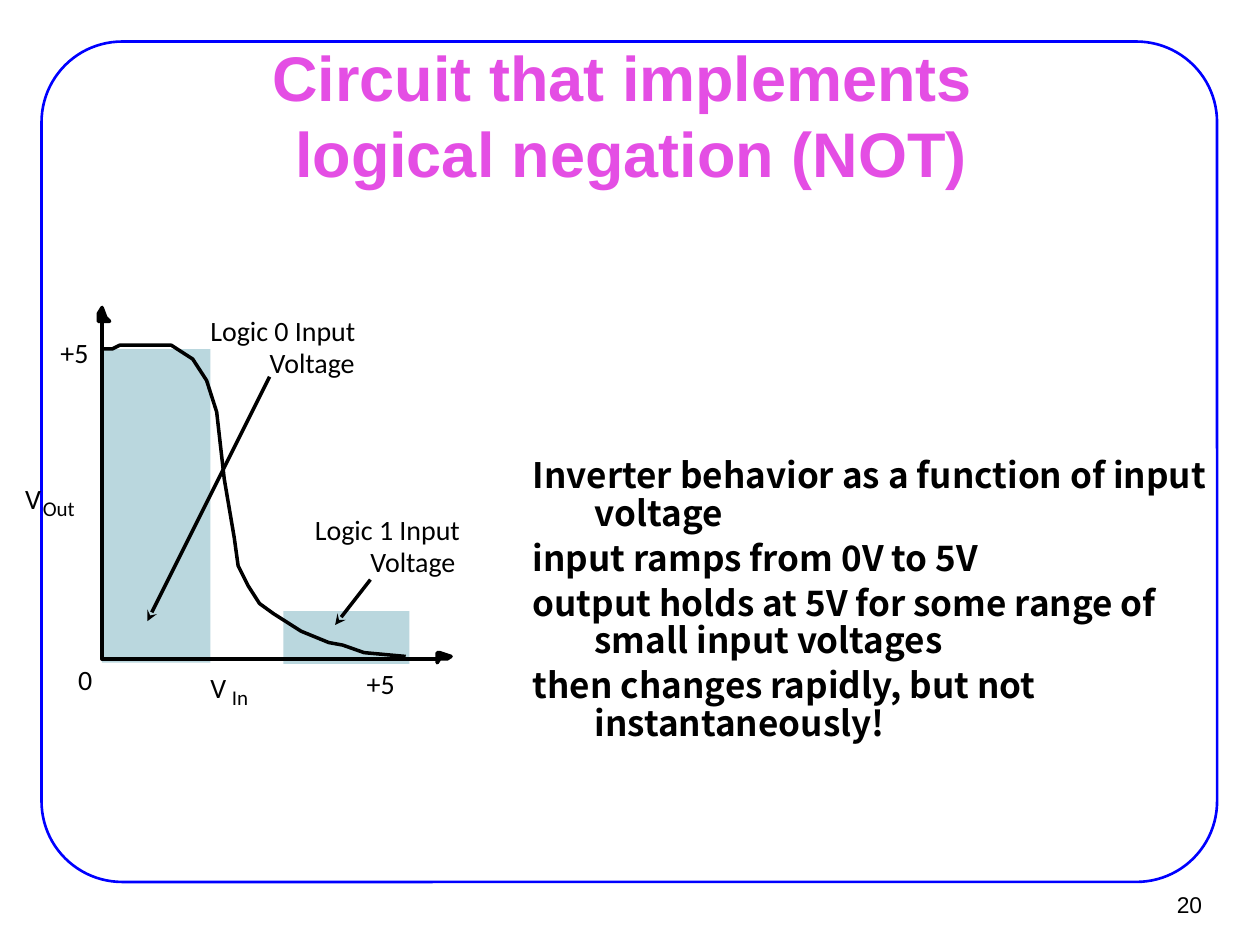
import pptx
import pptx.util
import pptx.dml.color
import pptx.enum.shapes
import pptx.enum.text
import pptx.oxml
import pptx.oxml.ns

Inches = pptx.util.Inches
Pt = pptx.util.Pt
RGB = pptx.dml.color.RGBColor
Align = pptx.enum.text.PP_ALIGN
Anchor = pptx.enum.text.MSO_ANCHOR
Kind = pptx.enum.shapes.MSO_SHAPE

BLACK = RGB(0, 0, 0)
BLUE = RGB(0x00, 0x00, 0xFF)
PINK = RGB(0xE4, 0x4E, 0xE4)
TEAL = RGB(0xBA, 0xD7, 0xDE)

CURVE = [(0.61, 0.33), (0.69, 0.33), (0.75, 0.3), (1.16, 0.3), (1.33, 0.41),
         (1.44, 0.58), (1.52, 0.83), (1.58, 1.36), (1.66, 1.83), (1.69, 2.05),
         (1.77, 2.21), (1.86, 2.35), (1.97, 2.43), (2.19, 2.57), (2.41, 2.66),
         (2.52, 2.68), (2.69, 2.74), (3.02, 2.77)]
AXES = [(3.29, 2.79), (0.61, 2.79), (0.61, 0.05)]
TIPS = [
    [(0.61, 0), (0.64, 0.08), (0.67, 0.11), (0.58, 0.11), (0.58, 0.05)],
    [(3.35, 2.79), (3.29, 2.79), (3.27, 2.82), (3.27, 2.74), (3.29, 2.74),
     (3.38, 2.77)],
]
BANDS = [(2.05, 2.41, 1, 0.42), (0.61, 0.33, 0.86, 2.49)]
LABELS = [
    ("V", 0, 1.38, 0.21, 16), ("Out", 0.14, 1.49, 0.32, 12),
    ("+5", 0.28, 0.22, 0.32, 16), ("0", 0.42, 2.82, 0.19, 16),
    ("+5", 2.71, 2.85, 0.32, 16), ("V", 1.47, 2.88, 0.21, 16),
    ("In", 1.64, 2.99, 0.19, 12),
    ("Logic 0 Input", 1.47, 0.05, 1.4, 16), ("Voltage", 1.94, 0.3, 0.81, 16),
    ("Logic 1 Input", 2.3, 1.63, 1.34, 16), ("Voltage", 2.74, 1.88, 0.81, 16),
]
ARROWS = [(1.94, 0.55, 0.97, 2.49), (2.74, 2.16, 2.46, 2.52)]
POINTS = [
    "Inverter behavior as a function of input voltage",
    "input ramps from 0V to 5V",
    "output holds at 5V for some range of small input voltages",
    "then changes rapidly, but not instantaneously!",
]


def add_text(shapes, box, text, font, size, color=BLACK, bold=False,
             inset=(0.1, 0.05), wrap=True, anchor=Anchor.TOP, align=Align.LEFT):
    frame = shapes.add_textbox(*map(Inches, box)).text_frame
    frame.margin_left = frame.margin_right = Inches(inset[0])
    frame.margin_top = frame.margin_bottom = Inches(inset[1])
    frame.word_wrap = wrap
    frame.vertical_anchor = anchor
    frame.text = text
    for para in frame.paragraphs:
        para.alignment = align
        for run in para.runs:
            run.font.name = font
            run.font.size = Pt(size)
            run.font.bold = bold
            run.font.color.rgb = color
    return frame


def add_path(shapes, left, top, points, closed=False):
    spots = [(Inches(left + x), Inches(top + y)) for x, y in points]
    pen = shapes.build_freeform(*spots[0])
    pen.add_line_segments(spots[1:], close=closed)
    shape = pen.convert_to_shape()
    shape.shadow.inherit = False
    if closed:
        shape.fill.solid()
        shape.fill.fore_color.rgb = BLACK
    else:
        shape.fill.background()
    shape.line.color.rgb = BLACK
    shape.line.width = Pt(2)


def add_arrow(shapes, left, top, ends):
    x1, y1, x2, y2 = ends
    line = shapes.add_connector(
        pptx.enum.shapes.MSO_CONNECTOR.STRAIGHT, Inches(left + x1),
        Inches(top + y1), Inches(left + x2), Inches(top + y2))
    line.line.color.rgb = BLACK
    line.line.width = Pt(2)
    tail = pptx.oxml.parse_xml(
        f'<a:tailEnd {pptx.oxml.ns.nsdecls("a")} type="stealth"/>')
    line.line._get_or_add_ln().append(tail)
    line._element.spPr.append(pptx.oxml.parse_xml(
        f'<a:effectLst {pptx.oxml.ns.nsdecls("a")}/>'))


def add_frame(shapes, box):
    frame = shapes.add_shape(Kind.ROUNDED_RECTANGLE, *map(Inches, box))
    frame.adjustments[0] = 0.096
    frame.shadow.inherit = False
    frame.fill.background()
    frame.line.color.rgb = BLUE
    frame.line.width = Pt(1.5)


def add_title(shapes, box):
    add_text(shapes, box, "Circuit that implements \vlogical negation (NOT)",
             "Arial", 36, PINK, True, (0.11, 0.06), anchor=Anchor.MIDDLE,
             align=Align.CENTER)


def add_number(shapes, box):
    add_text(shapes, box, "20", "Arial", 13, inset=(0.09, 0.04), wrap=False,
             anchor=Anchor.MIDDLE, align=Align.RIGHT)


def add_points(shapes, box):
    frame = add_text(shapes, box, "\n".join(POINTS), "Noto Sans CJK KR", 20,
                     bold=True)
    for para in frame.paragraphs:
        para.line_spacing = 0.9
        para.space_before = Pt(4)
        props = para._p.get_or_add_pPr()
        props.set("marL", str(Inches(0.49)))
        props.set("indent", str(Inches(-0.49)))


def add_graph(shapes, box):
    left, top = box
    parts = shapes.add_group_shape().shapes
    for x, y, wide, high in BANDS:
        band = parts.add_shape(Kind.RECTANGLE, Inches(left + x), Inches(top + y),
                               Inches(wide), Inches(high))
        band.shadow.inherit = False
        band.fill.solid()
        band.fill.fore_color.rgb = TEAL
        band.line.fill.background()
    for text, x, y, wide, size in LABELS:
        add_text(parts, (left + x, top + y, wide, size / 60), text, "Calibri",
                 size, inset=(0, 0), wrap=False)
    for tip in TIPS:
        add_path(parts, left, top, tip, True)
    for points in (CURVE, AXES):
        add_path(parts, left, top, points)
    for ends in ARROWS:
        add_arrow(parts, left, top, ends)


def main():
    deck = pptx.Presentation()
    deck.slide_width = Inches(10)
    deck.slide_height = Inches(7.5)
    shapes = deck.slides.add_slide(deck.slide_layouts[6]).shapes
    add_frame(shapes, (0.33, 0.33, 9.33, 6.67))
    add_number(shapes, (9.02, 6.99, 0.61, 0.37))
    add_points(shapes, (4.13, 3.59, 5.64, 2.46))
    add_title(shapes, (0.76, 0.66, 8.5, 0.49))
    add_graph(shapes, (0.2, 2.44))
    deck.save("out.pptx")


if __name__ == "__main__":
    main()
